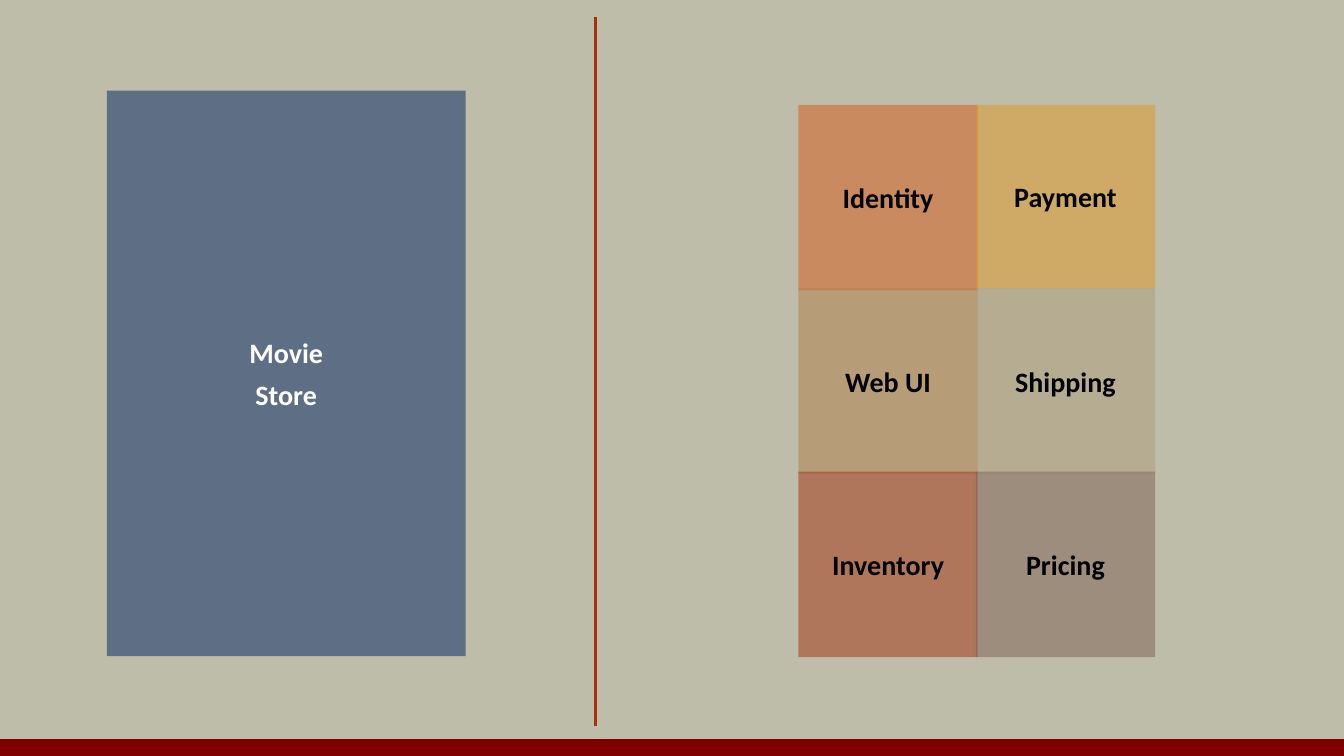
"""Builds a slide that sets one Movie Store block against a grid of six services."""
from dataclasses import dataclass

from lxml.etree import SubElement
from pptx import Presentation
from pptx.dml.color import RGBColor
from pptx.enum.shapes import MSO_CONNECTOR as Connector, MSO_SHAPE as Shape
from pptx.enum.text import MSO_ANCHOR as Anchor, PP_ALIGN as Align
from pptx.oxml.ns import qn
from pptx.slide import Slide
from pptx.util import Inches, Pt

COLORS = {
    "background": "BDBDA9", "base": "800000", "divider": "A5300F",
    "store": "002060", "identity": "D55816", "payment": "E19825",
    "web": "B27D49", "shipping": "B19C7D", "inventory": "A5300F",
    "pricing": "7F5F52", "light": "FFFFFF", "dark": "000000",
}
UNIT = Inches(0.1)
SLIDE_COLS, SLIDE_ROWS = 133.33, 75
GRID_COL, GRID_ROW = 79.2, 10.4
STEP_COLS, STEP_ROWS = 17.6, 18.2
OVERLAP = 0.2
FRAME_FORMAT = {
    "word_wrap": True, "vertical_anchor": Anchor.MIDDLE,
    "margin_left": Inches(0.2), "margin_right": Inches(0.2),
    "margin_top": Inches(0.2), "margin_bottom": Inches(0.2),
}
FONT_FORMAT = {"name": "Calibri", "size": Pt(20), "bold": True}


@dataclass(frozen=True)
class Block:
    words: tuple[str, ...]
    fill: str
    ink: str
    col: float
    row: float
    cols: float
    rows: float


@dataclass(frozen=True)
class Rule:
    color: str
    weight: float
    start: tuple[float, float]
    end: tuple[float, float]


@dataclass(frozen=True)
class Service:
    label: str
    fill: str
    overlap: float = OVERLAP


SERVICES = (
    (Service("Identity", "identity"), Service("Payment", "payment", 0)),
    (Service("Web UI", "web"), Service("Shipping", "shipping")),
    (Service("Inventory", "inventory"), Service("Pricing", "pricing")),
)
BASE = Rule("base", 12, (0, 74.15), (SLIDE_COLS, 74.15))
DIVIDER = Rule("divider", 2, (59.1, 1.7), (59.1, 72))
STORE = Block(("Movie", "Store"), "store", "light", 10.6, 9, 35.6, 56.1)


def color(key: str) -> RGBColor:
    return RGBColor.from_string(COLORS[key])


def units(*counts: float) -> list[int]:
    return [round(count * UNIT) for count in counts]


def apply(target: object, formats: dict[str, object]) -> None:
    for attribute, value in formats.items():
        setattr(target, attribute, value)


def draw_rule(slide: Slide, rule: Rule) -> None:
    stroke = slide.shapes.add_connector(
        Connector.STRAIGHT, *units(*rule.start, *rule.end))
    stroke.line.color.rgb = color(rule.color)
    stroke.line.width = Pt(rule.weight)
    SubElement(stroke._element.spPr, qn("a:effectLst"))


def draw_block(slide: Slide, block: Block) -> None:
    panel = slide.shapes.add_shape(
        Shape.RECTANGLE, *units(block.col, block.row, block.cols, block.rows))
    panel.shadow.inherit = False
    panel.line.fill.background()
    panel.fill.solid()
    panel.fill.fore_color.rgb = color(block.fill)
    tint = panel._element.spPr.find(qn("a:solidFill"))[0]
    SubElement(tint, qn("a:alpha"), val="50000")
    frame = panel.text_frame
    apply(frame, FRAME_FORMAT)
    for index, word in enumerate(block.words):
        paragraph = frame.add_paragraph() if index else frame.paragraphs[0]
        paragraph.alignment = Align.CENTER
        paragraph.space_before = Pt(6 if index else 0)
        run = paragraph.add_run()
        run.text = word
        apply(run.font, FONT_FORMAT)
        run.font.color.rgb = color(block.ink)


def draw_services(slide: Slide) -> None:
    for row, pair in enumerate(SERVICES):
        for col, service in enumerate(pair):
            draw_block(slide, Block(
                (service.label,), service.fill, "dark",
                GRID_COL + col * STEP_COLS, GRID_ROW + row * STEP_ROWS,
                STEP_COLS + OVERLAP, STEP_ROWS + service.overlap))


def main() -> None:
    deck = Presentation()
    deck.slide_width, deck.slide_height = units(SLIDE_COLS, SLIDE_ROWS)
    slide = deck.slides.add_slide(deck.slide_layouts[6])
    slide.background.fill.solid()
    slide.background.fill.fore_color.rgb = color("background")
    draw_rule(slide, BASE)
    draw_block(slide, STORE)
    draw_rule(slide, DIVIDER)
    draw_services(slide)
    deck.save("out.pptx")


if __name__ == "__main__":
    main()
